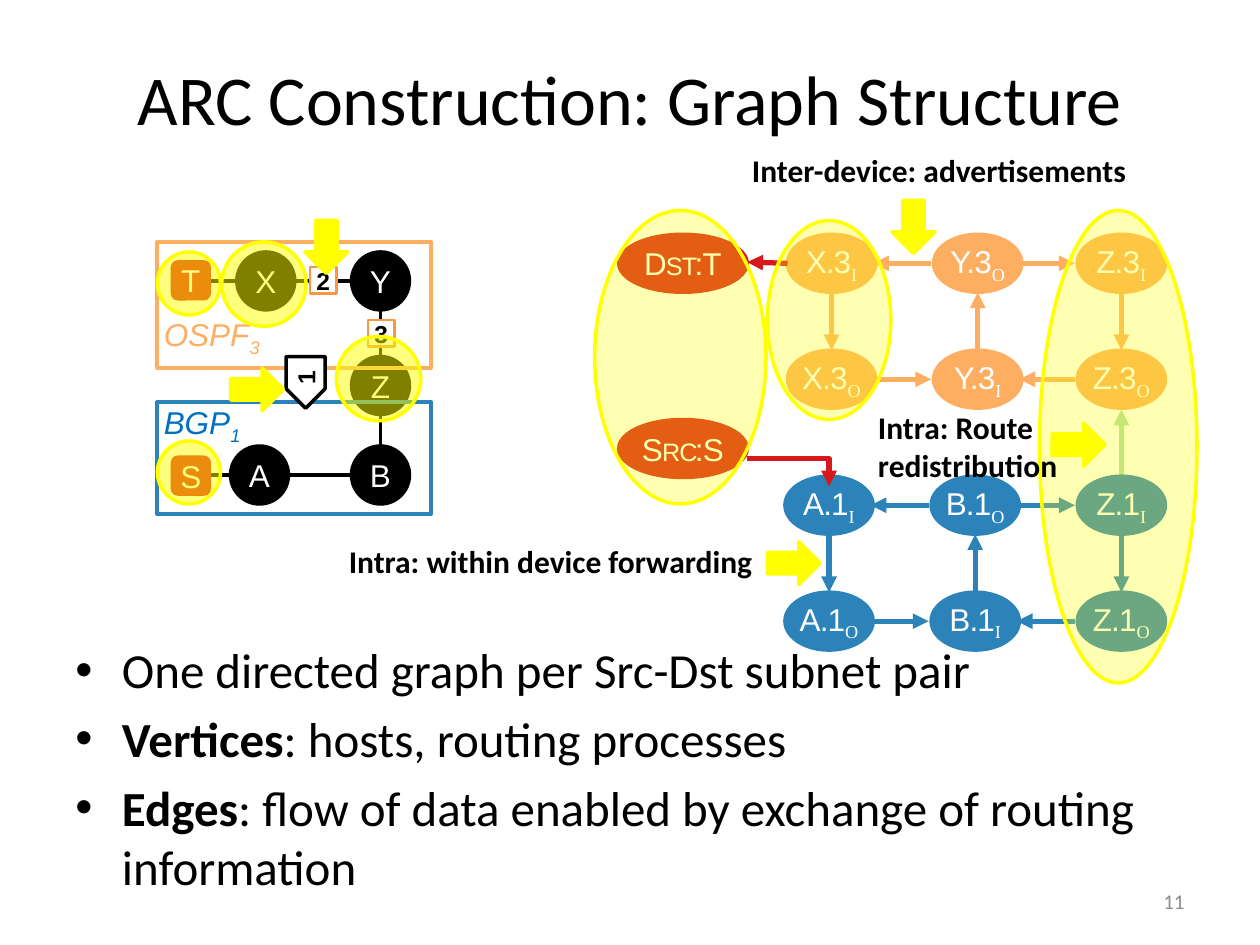
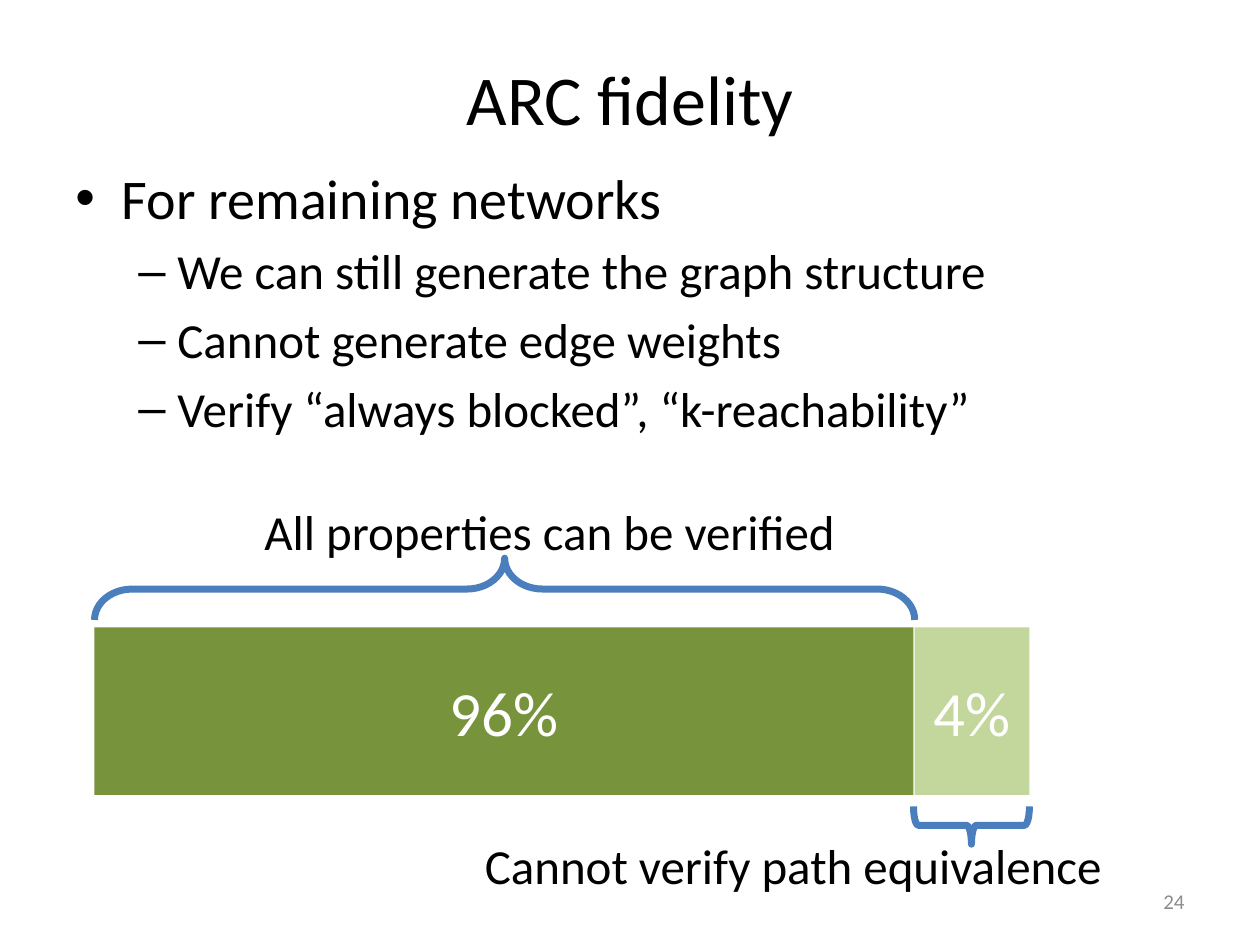
from dataclasses import dataclass, field
from typing import Any, NamedTuple, Optional

from lxml import etree
from pptx import Presentation
from pptx import util as u
from pptx.dml.color import RGBColor
from pptx.enum import shapes, text
from pptx.oxml.ns import qn

# Shared look
BLACK, WHITE, GRAY = "000000", "FFFFFF", "8C8C8C"
RED, ORANGE, BLUE, GREEN = "D7191C", "FDAE61", "2B83BA", "ABDDA4"
YELLOW, BRACE_BLUE = "FFFF00", "4B7EBC"
SHAPE, ALIGN, ANCHOR = shapes.MSO_SHAPE, text.PP_ALIGN, text.MSO_ANCHOR

Area = tuple[float, float, float, float]
Point = tuple[float, float]


@dataclass
class Span:
    text: str
    size: float = 18
    font: str = "Calibri"
    color: str = BLACK
    bold: bool = False
    italic: bool = False
    marks: dict[str, str] = field(default_factory=dict)


@dataclass
class Para:
    spans: list[Span]
    align: Any = ALIGN.LEFT
    bullet: str = ""
    indent: Point = (0, 0)
    before: float = 0


@dataclass
class Style:
    fill: Optional[str] = None
    line: Optional[str] = None
    width: float = 2
    opacity: int = 100
    rotation: float = 0


class Process(NamedTuple):
    number: int
    color: str
    routers: str
    lefts: tuple[float, float, float]
    top: float


class Bar(NamedTuple):
    label: str
    color: str
    area: Area


class Brace(NamedTuple):
    area: Area
    rotation: float
    curve: float
    caption: str
    caption_area: Area


def rgb(color: str) -> RGBColor:
    return RGBColor.from_string(color)


def inches(*values: float) -> list[int]:
    return [u.Inches(value) for value in values]


def assign(target: Any, values: dict[str, Any]) -> None:
    for name, value in values.items():
        setattr(target, name, value)


def write(frame: Any, paras: list[Para], anchor: Any, insets: Area) -> None:
    left, top, right, bottom = inches(*insets)
    assign(frame, dict(word_wrap=True, vertical_anchor=anchor, margin_left=left,
                       margin_top=top, margin_right=right, margin_bottom=bottom))
    for index, item in enumerate(paras):
        para = frame.add_paragraph() if index else frame.paragraphs[0]
        if item.bullet:
            margin, hanging = inches(*item.indent)
            props = para._p.get_or_add_pPr()
            props.set("marL", str(margin))
            props.set("indent", str(hanging))
            etree.SubElement(props, qn("a:buFont"), typeface="Arial")
            etree.SubElement(props, qn("a:buChar"), char=item.bullet)
        para.alignment = item.align
        if index and item.before:
            para.space_before = u.Pt(item.before)
        for part in item.spans:
            span = para.add_run()
            span.text = part.text
            assign(span.font, dict(name=part.font, size=u.Pt(part.size),
                                   bold=part.bold, italic=part.italic))
            span.font.color.rgb = rgb(part.color)
            for name, value in part.marks.items():
                span._r.get_or_add_rPr().set(name, value)


def add_text(page: Any, area: Area, paras: list[Para], anchor: Any = ANCHOR.TOP,
             insets: Area = (0.1, 0.05, 0.1, 0.05)) -> None:
    write(page.shapes.add_textbox(*inches(*area)).text_frame, paras, anchor, insets)


def add_box(page: Any, kind: Any, area: Area, style: Style,
            spans: Optional[list[Span]] = None) -> Any:
    box = page.shapes.add_shape(kind, *inches(*area))
    assign(box, dict(rotation=style.rotation))
    box.shadow.inherit = False
    if style.fill:
        box.fill.solid()
        box.fill.fore_color.rgb = rgb(style.fill)
        if style.opacity < 100:
            color = box.element.spPr.find(qn("a:solidFill")).find(qn("a:srgbClr"))
            etree.SubElement(color, qn("a:alpha"), val=str(style.opacity * 1000))
    else:
        box.fill.background()
    if style.line:
        box.line.color.rgb = rgb(style.line)
        box.line.width = u.Pt(style.width)
    else:
        box.line.fill.background()
    if spans:
        write(box.text_frame, [Para(spans, ALIGN.CENTER)], ANCHOR.MIDDLE, (0, 0, 0, 0))
    return box


def add_line(page: Any, start: Point, end: Point, color: str, width: float = 3,
             arrow: bool = True, bent: bool = False) -> None:
    kind = shapes.MSO_CONNECTOR.ELBOW if bent else shapes.MSO_CONNECTOR.STRAIGHT
    line = page.shapes.add_connector(kind, *inches(*start, *end))
    line.line.color.rgb = rgb(color)
    line.line.width = u.Pt(width)
    props = line.element.spPr
    if bent:
        props.find(qn("a:prstGeom")).set("prst", "bentConnector2")
    if arrow:
        etree.SubElement(props.find(qn("a:ln")), qn("a:tailEnd"), type="triangle")
    etree.SubElement(props, qn("a:effectLst"))


def add_page(deck: Any, title: str, number: int) -> Any:
    page = deck.slides.add_slide(deck.slide_layouts[6])
    add_text(page, (0.5, 0.3, 9, 0.95), [Para([Span(title, 40)], ALIGN.CENTER)],
             ANCHOR.MIDDLE)
    add_text(page, (7.17, 6.95, 2.33, 0.4),
             [Para([Span(str(number), 12, color=GRAY)], ALIGN.RIGHT)], ANCHOR.MIDDLE)
    return page


def bullet(*spans: Span) -> Para:
    return Para(list(spans), bullet="•", indent=(0.37, -0.37), before=5.6)


def dash(words: str) -> Para:
    return Para([Span(words, 28)], bullet="–", indent=(0.81, -0.31), before=5.6)


def arial(words: str, color: str = WHITE, size: float = 18, **more: Any) -> Span:
    return Span(words, size, "Arial", color, **more)


# Directed graph: each router has an incoming (I) and an outgoing (O) vertex
NODE_W, NODE_H, ROW_STEP = 0.7, 0.46, 0.92
ROWS = ("IOI", "OIO")
PROCESSES = [Process(1, BLUE, "ABZ", (6.23, 7.39, 8.55), 3.78),
             Process(3, ORANGE, "XYZ", (6.25, 7.41, 8.55), 1.86)]
HOSTS = [("Src", ":S", 3.33), ("Dst", ":T", 1.86)]


def draw_graph(page: Any) -> None:
    add_line(page, (8.9, 3.78), (8.9, 3.25), GREEN)
    # Inside a router, edges run from I to O
    for process in PROCESSES:
        for left, side in zip(process.lefts, ROWS[0]):
            middle = left + NODE_W / 2
            ends = [(middle, process.top + NODE_H), (middle, process.top + ROW_STEP)]
            start, end = ends if side == "I" else ends[::-1]
            add_line(page, start, end, process.color)
    # Vertices
    tight = {"spc": "-50"}
    for name, suffix, top in HOSTS:
        add_box(page, SHAPE.OVAL, (4.91, top, 1.02, NODE_H), Style(RED, RED),
                [arial(name, marks={**tight, "cap": "small"}), arial(suffix, marks=tight)])
    for process in PROCESSES:
        for row, sides in enumerate(ROWS):
            for router, left, side in zip(process.routers, process.lefts, sides):
                add_box(page, SHAPE.OVAL,
                        (left, process.top + row * ROW_STEP, NODE_W, NODE_H),
                        Style(process.color, process.color),
                        [arial(f"{router}.{process.number}", marks=tight),
                         Span(side, 18, "Times New Roman", WHITE,
                              marks={**tight, "baseline": "-25000"})])
    # Between routers, edges run from O to I
    add_line(page, (5.93, 3.64), (6.58, 3.86), RED, bent=True)
    for process in PROCESSES:
        for row, sides in enumerate(ROWS):
            height = process.top + row * ROW_STEP + NODE_H / 2
            for column in (0, 1):
                ends = [(process.lefts[column] + 0.68, height),
                        (process.lefts[column + 1] - 0.02, height)]
                start, end = ends if sides[column] == "O" else ends[::-1]
                add_line(page, start, end, process.color)
    add_line(page, (6.25, 2.09), (5.93, 2.08), RED)


# Physical network
ROUTERS = [("Z", 2.79, 2.83), ("B", 2.79, 3.54), ("X", 1.88, 2), ("Y", 2.79, 2),
           ("A", 1.83, 3.54)]
ZONES = [("BGP", "1", "0070C0", BLUE, (1.25, 3.19, 2.17, 0.89), 3.2),
         ("OSPF", "3", ORANGE, ORANGE, (1.25, 1.92, 2.17, 1), 2.5)]
LINKS = [((3.02, 3.54), (3.02, 3.29)), ((1.67, 3.77), (1.83, 3.77)),
         ((3.02, 2.83), (3.02, 2.46)), ((2.79, 2.23), (2.33, 2.23)),
         ((1.88, 2.23), (1.67, 2.23)), ((2.3, 3.77), (2.79, 3.77))]
COSTS = [("2", 2.46, 2.12), ("3", 2.92, 2.54)]


def draw_network(page: Any) -> None:
    for name, left, top in ROUTERS:
        add_box(page, SHAPE.OVAL, (left, top, 0.46, 0.46), Style(BLACK, BLACK), [arial(name)])
    for name, number, ink, border, area, label_top in ZONES:
        add_text(page, (1.25, label_top, 0.9, 0.3),
                 [Para([arial(name, ink, italic=True),
                        arial(number, ink, italic=True, marks={"baseline": "-25000"})])],
                 insets=(0.05, 0, 0, 0))
        add_box(page, SHAPE.RECTANGLE, area, Style(line=border, width=2.25))
    for start, end in LINKS:
        add_line(page, start, end, BLACK, 2.25, arrow=False)
    for name, top in (("T", 2.07), ("S", 3.62)):
        add_box(page, SHAPE.ROUNDED_RECTANGLE, (1.36, top, 0.31, 0.31),
                Style(RED, "D71417", 0.75), [arial(name)])
    # Link costs and the redistribution tag
    tag = add_box(page, SHAPE.PENTAGON, (2.22, 2.88, 0.41, 0.31),
                  Style(WHITE, BLACK, rotation=270), [arial("1", BLACK, 14, bold=True)])
    tag.element.spPr.find(qn("a:xfrm")).set("flipH", "1")
    for cost, left, top in COSTS:
        add_box(page, SHAPE.RECTANGLE, (left, top, 0.21, 0.21),
                Style(WHITE, "F79646", 1.5), [arial(cost, BLACK, 14, bold=True)])


# Highlights, pointers and their captions
HALOS = [(30, (6.09, 1.75, 0.98, 1.58)), (50, (1.76, 1.92, 0.67, 0.67)),
         (30, (8.25, 1.67, 1.25, 3.75)), (50, (2.67, 2.67, 0.67, 0.67)),
         (30, (4.72, 1.67, 1.36, 2.33)), (50, (1.25, 2, 0.5, 0.5)),
         (50, (1.25, 3.5, 0.5, 0.5))]
POINTERS = [(7.04, 1.63, 90), (2.38, 1.79, 90), (1.83, 2.92, 0), (8.35, 3.36, 0),
            (6.09, 4.3, 0)]
CAPTIONS = [(["Inter-device: advertisements"], (5.87, 1.15, 3.37, 0.4)),
            (["Intra: Route", "redistribution"], (6.87, 3.19, 1.7, 0.71)),
            (["Intra: within device forwarding"], (2.67, 4.25, 3.5, 0.4))]


def draw_highlights(page: Any) -> None:
    for opacity, area in HALOS:
        add_box(page, SHAPE.OVAL, area, Style(YELLOW, YELLOW, opacity=opacity))
    for left, top, rotation in POINTERS:
        add_box(page, SHAPE.RIGHT_ARROW, (left, top, 0.42, 0.34),
                Style(YELLOW, YELLOW, rotation=rotation))
    for lines, area in CAPTIONS:
        add_text(page, area, [Para([Span(line, bold=True)]) for line in lines])


def build_structure(deck: Any) -> None:
    page = add_page(deck, "ARC Construction: Graph Structure", 11)
    add_text(page, (0.5, 5.03, 8.83, 2.17), [
        bullet(Span("One directed graph per Src-Dst subnet pair", 28)),
        bullet(Span("Vertices", 28, bold=True), Span(": hosts, routing processes", 28)),
        bullet(Span("Edges", 28, bold=True),
               Span(": flow of data enabled by exchange of routing information", 28))])
    draw_graph(page)
    draw_network(page)
    draw_highlights(page)


# Share of networks by what can be verified
BARS = [Bar("96%", "77933C", (0.75, 4.98, 6.5, 1.33)),
        Bar("4%", "C3D69B", (7.26, 4.98, 0.91, 1.33))]
BRACES = [Brace((3.76, 1.42, 0.49, 6.51), 90, 0.61,
                "All properties can be verified", (2, 3.93, 4.85, 0.57)),
          Brace((7.56, 6.09, 0.3, 0.92), 270, 0.13,
                "Cannot verify path equivalence", (3.75, 6.58, 5.2, 0.57))]


def build_fidelity(deck: Any) -> None:
    page = add_page(deck, "ARC fidelity", 24)
    add_text(page, (0.5, 1.25, 9, 2.5), [
        bullet(Span("For remaining networks", 32)),
        dash("We can still generate the graph structure"),
        dash("Cannot generate edge weights"),
        dash("Verify “always blocked”, “k-reachability”")])
    for bar in BARS:
        add_box(page, SHAPE.RECTANGLE, bar.area, Style(bar.color),
                [Span(bar.label, 36, color=WHITE)])
    for brace in BRACES:
        box = add_box(page, SHAPE.LEFT_BRACE, brace.area,
                      Style(line=BRACE_BLUE, width=4, rotation=brace.rotation))
        box.adjustments[0], box.adjustments[1] = brace.curve, 0.5
        add_text(page, brace.caption_area, [Para([Span(brace.caption, 28)])])


def main() -> None:
    deck = Presentation()
    assign(deck, dict(slide_width=u.Inches(10), slide_height=u.Inches(7.5)))
    build_structure(deck)
    build_fidelity(deck)
    deck.save("out.pptx")


if __name__ == "__main__":
    main()
